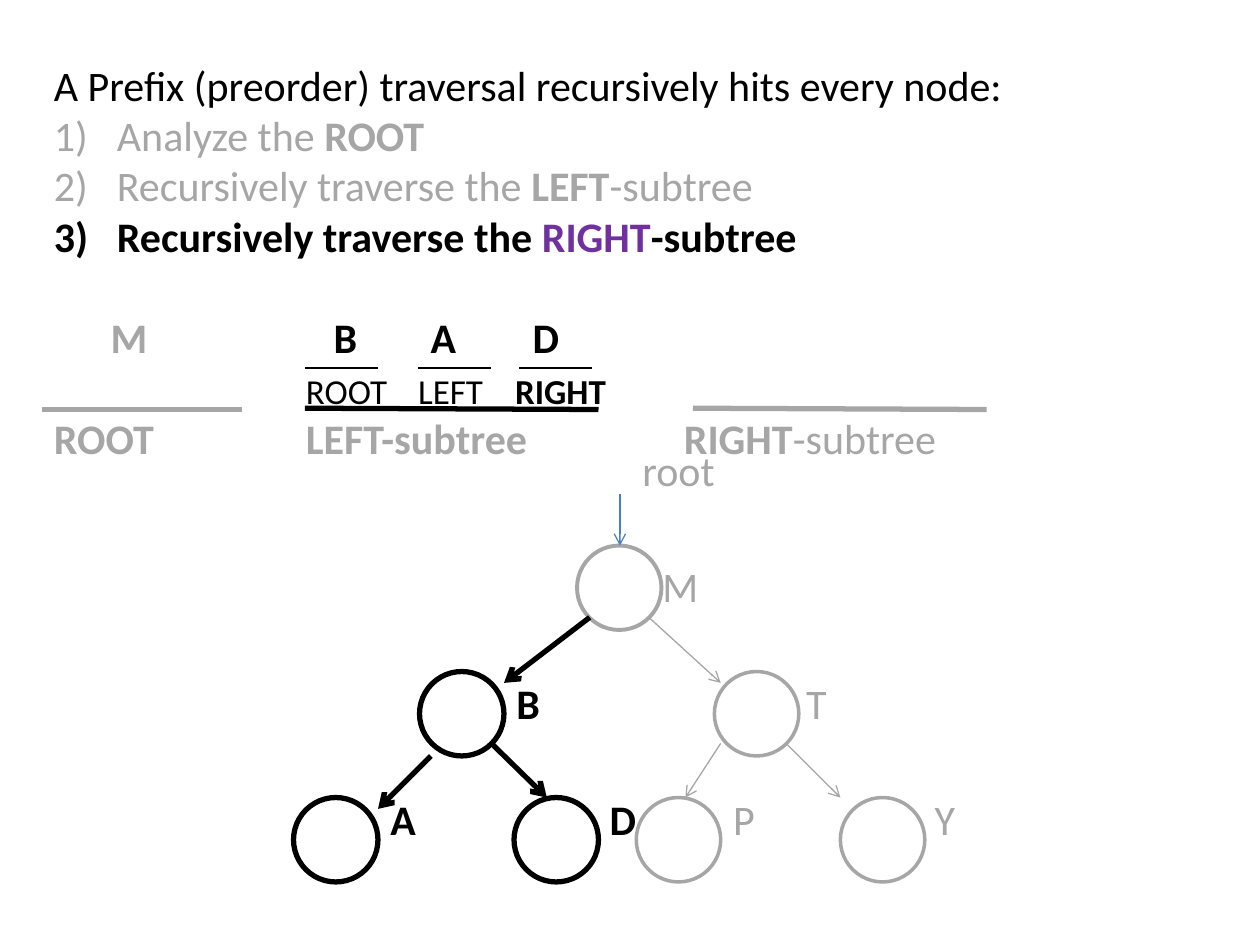
from pptx import Presentation
from pptx.dml.color import RGBColor
from pptx.enum.shapes import MSO_CONNECTOR, MSO_SHAPE
from pptx.oxml.ns import qn
from pptx.util import Inches, Pt
from lxml.etree import SubElement

COLORS = {"black": "000000", "gray": "A6A6A6", "purple": "7030A0", "blue": "4B7EBC"}
NODE_SIZE = 0.67


def add_span(para, text, size=24, color="black", bold=False):
    span = para.add_run()
    span.text = text
    span.font.name = "Calibri"
    span.font.size = Pt(size)
    span.font.bold = bold
    span.font.color.rgb = RGBColor.from_string(COLORS[color])


class TreeSlide:
    """Holds the slide and the look of its text, nodes and lines."""

    def __init__(self, page):
        self.page = page

    def add_text(self, left, top, width, height, rows, margin_top=0.05):
        """Each row is (spans, options); options are number, tabs and before."""
        box = self.page.shapes.add_textbox(
            Inches(left), Inches(top), Inches(width), Inches(height))
        frame = box.text_frame
        frame.word_wrap = True
        frame.margin_top = Inches(margin_top)
        for index, (spans, options) in enumerate(rows):
            para = frame.add_paragraph() if index else frame.paragraphs[0]
            self.format_para(para, **options)
            for text, style in spans:
                add_span(para, text, **style)

    def format_para(self, para, number=False, tabs=(), before=0):
        props = para._p.get_or_add_pPr()
        if number:
            props.set("marL", str(Inches(0.5)))
            props.set("indent", str(-Inches(0.5)))
            SubElement(props, qn("a:buFont"), typeface="+mj-lt")
            SubElement(props, qn("a:buAutoNum"), type="arabicParenR")
        if tabs:
            stops = SubElement(props, qn("a:tabLst"))
            for stop in tabs:
                SubElement(stops, qn("a:tab"), pos=str(Inches(stop)), algn="l")
        para.space_before = Pt(before)

    def add_node(self, left, top, color, weight):
        node = self.page.shapes.add_shape(
            MSO_SHAPE.OVAL, Inches(left), Inches(top), Inches(NODE_SIZE), Inches(NODE_SIZE))
        node.shadow.inherit = False
        node.fill.background()
        node.line.color.rgb = RGBColor.from_string(COLORS[color])
        node.line.width = Pt(weight)

    def add_line(self, start, end, color, weight, arrow=False):
        line = self.page.shapes.add_connector(
            MSO_CONNECTOR.STRAIGHT, *(Inches(value) for value in (*start, *end)))
        line.line.color.rgb = RGBColor.from_string(COLORS[color])
        line.line.width = Pt(weight)
        if arrow:
            SubElement(line.line._get_or_add_ln(), qn("a:tailEnd"), type="arrow")
        SubElement(line._element.spPr, qn("a:effectLst"))


PLAIN = {}
BOLD = {"bold": True}
GRAY = {"color": "gray"}
GRAY_BOLD = {"color": "gray", "bold": True}
SMALL = {"size": 20}

NODE_LABELS = [
    ([("\troot", GRAY)], {"tabs": [4.5]}),
    ([("\tM", GRAY)], {"tabs": [4.66], "before": 37.6}),
    ([("\tB", BOLD), ("\tT", GRAY)], {"tabs": [3.5, 5.8], "before": 37.6}),
    ([("\tA\tD", BOLD), ("\tP\tY", GRAY)],
     {"tabs": [2.5, 4.24, 5.22, 6.82], "before": 37.6}),
]
TRAVERSAL = [
    ([("A Prefix (preorder) traversal recursively hits every node:", PLAIN)], {}),
    ([("Analyze the ", GRAY), ("ROOT", GRAY_BOLD)], {"number": True}),
    ([("Recursively traverse the ", GRAY), ("LEFT", GRAY_BOLD), ("-subtree", GRAY)],
     {"number": True}),
    ([("Recursively traverse the ", BOLD), ("RIGHT", {"color": "purple", "bold": True}),
      ("-subtree", BOLD)], {"number": True}),
    ([("\tM", GRAY_BOLD), ("\tB\tA\tD", BOLD)],
     {"tabs": [0.45, 2.22, 2.99, 3.8], "before": 29.3}),
    ([("\t", PLAIN), ("ROOT\tLEFT\t", SMALL), ("RIGHT", {"size": 20, "bold": True})],
     {"tabs": [2, 2.89, 3.66]}),
    ([("ROOT\tLEFT-subtree\tRIGHT", GRAY_BOLD), ("-subtree", GRAY)], {"tabs": [2, 5]}),
]
NODES = [
    (4.58, 4.33, "gray", 2.25),
    (3.33, 5.33, "black", 3),
    (5.67, 5.33, "gray", 2),
    (2.33, 6.33, "black", 3),
    (4.08, 6.33, "black", 3),
    (5.05, 6.33, "gray", 2),
    (6.67, 6.33, "gray", 2),
]
ARROWS = [
    ((4.92, 3.92), (4.92, 4.33), "blue", 0.75),
    ((4.68, 4.9), (4, 5.42), "black", 3),
    ((3.42, 6), (3, 6.42), "black", 3),
    ((3.9, 5.9), (4.34, 6.33), "black", 3),
    ((5.15, 4.9), (5.72, 5.42), "gray", 0.75),
    ((5.72, 5.9), (5.44, 6.33), "gray", 0.75),
    ((6.24, 5.9), (6.67, 6.33), "gray", 0.75),
]
BLANKS = [
    ((0.33, 3.25), (1.92, 3.25), "gray", 3),
    ((2.42, 3.24), (4.75, 3.25), "black", 3),
    ((5.5, 3.24), (7.83, 3.25), "gray", 3),
    *(((left, 2.92), (left + 0.58, 2.92), "black", 0.75) for left in (2.42, 3.32, 4.12)),
]


def main():
    deck = Presentation()
    deck.slide_width, deck.slide_height = Inches(10), Inches(7.5)
    slide = TreeSlide(deck.slides.add_slide(deck.slide_layouts.get_by_name("Blank")))
    slide.add_text(0.5, 3, 9, 4.5, NODE_LABELS, margin_top=0.53)
    for node in NODES:
        slide.add_node(*node)
    for arrow in ARROWS:
        slide.add_line(*arrow, arrow=True)
    slide.add_text(0.33, 0.42, 9.5, 3.33, TRAVERSAL)
    for blank in BLANKS:
        slide.add_line(*blank)
    deck.save("out.pptx")


if __name__ == "__main__":
    main()
